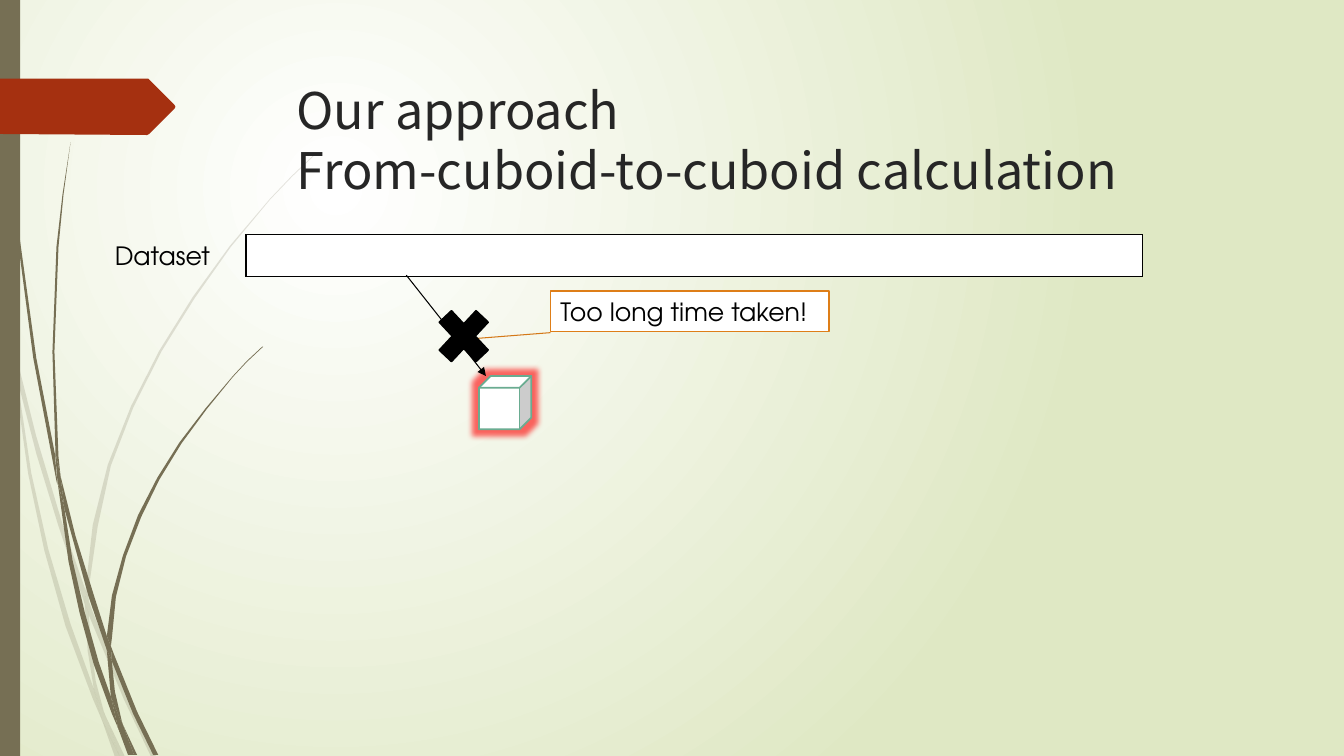
import pptx
import pptx.util
import pptx.dml.color
import pptx.enum.shapes
import pptx.enum.text
import pptx.oxml
import pptx.oxml.ns
from lxml import etree

SHAPE = pptx.enum.shapes.MSO_SHAPE
ALIGN = pptx.enum.text.PP_ALIGN
ANCHOR = pptx.enum.text.MSO_ANCHOR
qn = pptx.oxml.ns.qn

COLORS = {
    "white": "FFFFFF", "black": "000000", "meadow": "DFE8C4", "stem": "766F54",
    "banner": "A53010", "title": "262626", "cube": "6AAC91",
    "callout": "DE7E18", "leader": "D47817", "glow": "FF0000",
}
TITLE_FONT, BODY_FONT = "Noto Sans CJK SC", "TeX Gyre Adventor"
TITLE = "Our approach\vFrom-cuboid-to-cuboid calculation"
DATASET, WARNING = "Dataset", "Too long time taken!"

# Places are left, top, width, height on a grid of hundredths of an inch.
SLIDE = (1333, 750)
CELL = 9144
TITLE_AT = (284, 68, 975, 140)
EDGE_BAR_AT = (0, 0, 20, 750)
DATASET_ROW_AT = (244, 233, 889, 41)
DATASET_LABEL_AT = (104, 233, 117, 41)
CUBE_AT = (475, 373, 52, 53)
WARNING_AT = (546, 289, 276, 40)
CROSS_AT = (425, 296, 70, 75)
CALCULATION = ((403, 273), (482, 373))
LEADER = ((546, 330), (457, 337))

BANNER = [(0, 78), (147, 78), (148, 79), (173, 104), (174, 106), (173, 108),
          (148, 133), (146, 134), (0, 133)]
PALE_GRASS = [
    [(11, 350), (9, 322), (0, 282), (0, 299), (10, 344)],
    [(58, 522), (84, 599), (85, 586), (62, 520), (36, 433), (14, 345),
     (17, 376), (36, 450)],
    [(92, 607), (88, 596), (88, 610), (123, 694), (150, 751), (155, 751),
     (127, 692)],
    [(119, 751), (124, 751), (105, 711)],
    [(93, 683), (70, 619), (48, 545), (31, 469), (17, 376), (11, 350),
     (28, 470), (44, 546), (65, 621), (92, 693), (101, 714), (99, 707)],
    [(84, 599), (87, 646), (93, 683), (96, 692), (105, 711), (103, 706),
     (95, 676), (91, 646), (88, 610), (88, 608)],
    [(88, 584), (97, 522), (110, 462), (132, 405), (160, 349), (193, 296),
     (229, 245), (268, 198), (290, 175), (312, 154), (312, 153), (289, 175),
     (268, 197), (228, 244), (191, 295), (158, 348), (130, 403), (107, 461),
     (92, 521), (85, 584), (85, 586), (88, 596)],
    [(101, 714), (114, 751), (119, 751)],
    [(88, 608), (88, 610), (88, 596), (85, 586), (84, 599)],
    [(96, 692), (93, 683), (99, 707), (101, 714), (119, 751), (105, 711)],
]
DARK_GRASS = [
    [(7, 110), (17, 233), (33, 355), (56, 477), (57, 481), (55, 457),
     (55, 453), (36, 355), (19, 232), (8, 109), (5, 48), (4, 0), (3, 0),
     (4, 48)],
    [(88, 592), (106, 645), (106, 631), (93, 590), (75, 532), (60, 472),
     (64, 505)],
    [(113, 649), (110, 641), (111, 656), (132, 708), (152, 749), (157, 749),
     (136, 706)],
    [(110, 691), (98, 657), (84, 607), (72, 556), (64, 505), (57, 477),
     (68, 557), (79, 608), (93, 659), (111, 708), (117, 722), (116, 717)],
    [(60, 472), (58, 453), (54, 349), (58, 245), (63, 193), (70, 141),
     (62, 193), (56, 245), (52, 349), (55, 449)],
    [(133, 749), (136, 749), (122, 719)],
    [(57, 477), (64, 505), (60, 472), (55, 449), (55, 453)],
    [(111, 633), (115, 592), (125, 552), (140, 513), (158, 476), (180, 440),
     (205, 406), (231, 374), (245, 359), (261, 344), (260, 344), (245, 358),
     (231, 373), (204, 405), (178, 439), (156, 474), (137, 511), (122, 551),
     (111, 591), (106, 631), (110, 641)],
    [(117, 722), (127, 749), (131, 749)],
    [(106, 645), (110, 691), (116, 706), (122, 719), (121, 716), (114, 686),
     (111, 656), (109, 651)],
    [(106, 645), (109, 651), (111, 656), (110, 641), (106, 631)],
    [(116, 706), (110, 691), (116, 717), (117, 722), (130, 749), (133, 749),
     (122, 719)],
]


def rgb(name):
    return pptx.dml.color.RGBColor.from_string(COLORS[name])


def emu(numbers):
    return [pptx.util.Emu(n * CELL) for n in numbers]


def add_xml(parent, tag, **attributes):
    return etree.SubElement(parent, qn(tag), attributes)


def paint(shape, fill, line=None, width=1.25):
    shape.shadow.inherit = False
    shape.fill.solid()
    shape.fill.fore_color.rgb = rgb(fill)
    if line:
        shape.line.color.rgb = rgb(line)
        shape.line.width = pptx.util.Pt(width)
    else:
        shape.line.fill.background()
    return shape


def add_outline(shapes, points, fill, opacity=None):
    builder = shapes.build_freeform(*points[0], scale=CELL)
    builder.add_line_segments(points[1:], close=True)
    outline = paint(builder.convert_to_shape(), fill)
    if opacity:
        color = outline.fill._xPr.find(qn("a:solidFill"))[0]
        add_xml(color, "a:alpha", val=str(opacity * 1000))


def write(shape, text, size, font, color, anchor=ANCHOR.TOP):
    frame = shape.text_frame
    frame.text = text
    for key, value in {"word_wrap": True, "vertical_anchor": anchor,
                       "auto_size": pptx.enum.text.MSO_AUTO_SIZE.NONE}.items():
        setattr(frame, key, value)
    paragraph = frame.paragraphs[0]
    paragraph.alignment = ALIGN.LEFT
    for run in paragraph.runs:
        for key, value in {"size": pptx.util.Pt(size), "name": font}.items():
            setattr(run.font, key, value)
        run.font.color.rgb = rgb(color)
    return paragraph


def add_arrow(shapes, ends, color):
    start, end = ends
    arrow = shapes.add_connector(pptx.enum.shapes.MSO_CONNECTOR.STRAIGHT,
                                 *emu(start), *emu(end))
    arrow.line.color.rgb = rgb(color)
    arrow.line.width = pptx.util.Pt(0.75)
    add_xml(arrow.line._get_or_add_ln(), "a:tailEnd", type="triangle")
    add_xml(arrow._element.spPr, "a:effectLst")


def paint_background(slide):
    fill = slide.background.fill
    fill.gradient()
    for stop, color, position in zip(fill.gradient_stops, ("white", "meadow"), (0, 1)):
        stop.color.rgb = rgb(color)
        stop.position = position
    gradient = slide._element.find(".//" + qn("a:gradFill"))
    gradient.remove(gradient.find(qn("a:lin")))
    circle = add_xml(gradient, "a:path", path="circle")
    add_xml(circle, "a:fillToRect", l="50000", t="50000", r="100000", b="100000")


def add_dataset_row(shapes):
    table = shapes.add_table(1, 1, *emu(DATASET_ROW_AT)).table
    table.first_row = table.horz_banding = False
    cell = table.cell(0, 0)
    properties = cell._tc.get_or_add_tcPr()
    for side in "LRTB":
        border = add_xml(properties, "a:ln" + side, w="12700")
        add_xml(add_xml(border, "a:solidFill"), "a:srgbClr", val=COLORS["black"])
    cell.fill.solid()
    cell.fill.fore_color.rgb = rgb("white")


def main():
    deck = pptx.Presentation()
    deck.slide_width, deck.slide_height = emu(SLIDE)
    slide = deck.slides.add_slide(deck.slide_layouts[5])
    shapes = slide.shapes
    paint_background(slide)

    for blades, opacity in ((PALE_GRASS, 20), (DARK_GRASS, None)):
        tuft = shapes.add_group_shape()
        for blade in blades:
            add_outline(tuft.shapes, blade, "stem", opacity)
    paint(shapes.add_shape(SHAPE.RECTANGLE, *emu(EDGE_BAR_AT)), "stem")
    add_outline(shapes, BANNER, "banner")

    title = shapes.title
    title.left, title.top, title.width, title.height = emu(TITLE_AT)
    heading = write(title, TITLE, 36, TITLE_FONT, "title", ANCHOR.MIDDLE)
    heading.line_spacing = pptx.util.Pt(43)
    shapes._spTree.append(title._element)

    cube = paint(shapes.add_shape(SHAPE.CUBE, *emu(CUBE_AT)), "white", "cube")
    cube.adjustments[0] = 0.225
    glow = add_xml(cube._element.spPr.find(qn("a:effectLst")), "a:glow", rad="101600")
    add_xml(add_xml(glow, "a:srgbClr", val=COLORS["glow"]), "a:alpha", val="60000")

    add_dataset_row(shapes)
    write(shapes.add_textbox(*emu(DATASET_LABEL_AT)), DATASET, 18, BODY_FONT, "black")
    add_arrow(shapes, CALCULATION, "black")
    warning = paint(shapes.add_shape(SHAPE.RECTANGLE, *emu(WARNING_AT)), "white", "callout")
    write(warning, WARNING, 18, BODY_FONT, "black")
    add_arrow(shapes, LEADER, "leader")
    paint(shapes.add_shape(SHAPE.MATH_MULTIPLY, *emu(CROSS_AT)), "black", "black")

    deck.save("out.pptx")


if __name__ == "__main__":
    main()
